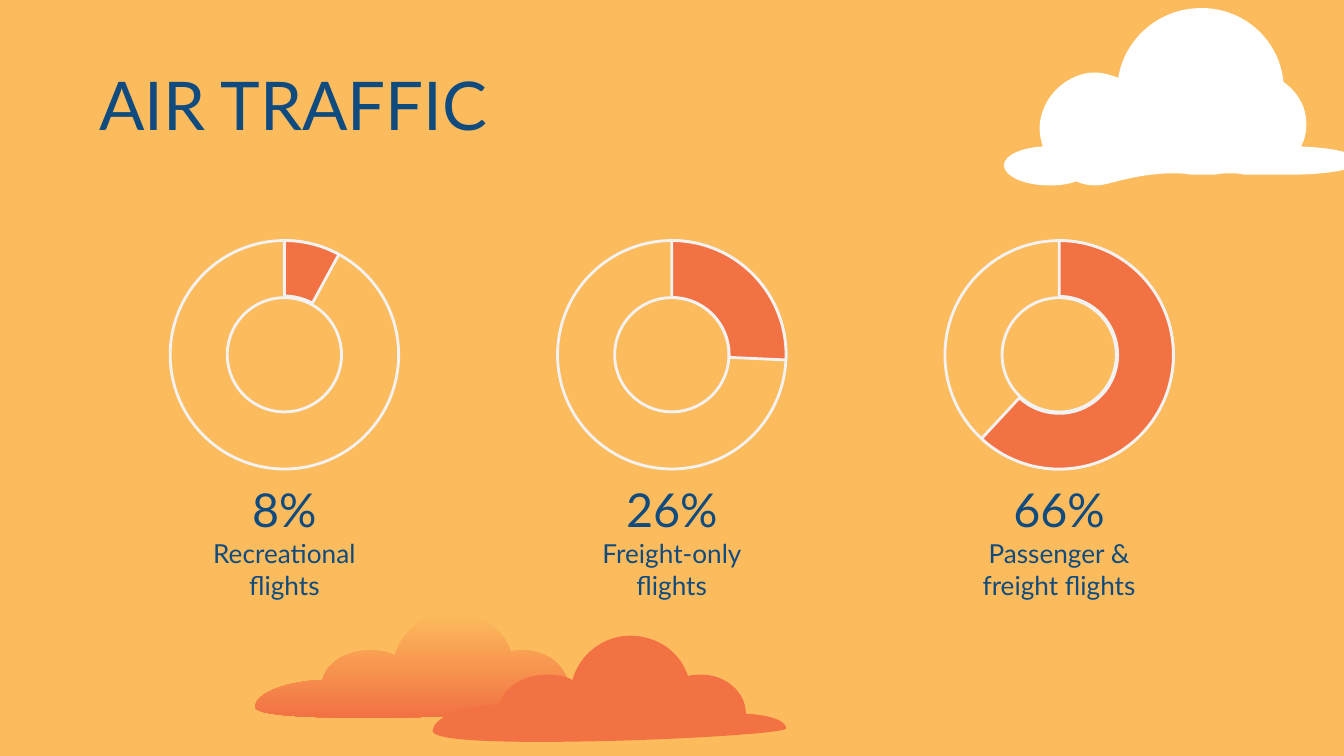
"""Build the air traffic slide with three ring charts and clouds."""
from lxml.etree import SubElement
from pptx import Presentation
from pptx.dml.color import RGBColor
from pptx.enum.shapes import MSO_SHAPE as SHAPE
from pptx.enum.text import MSO_ANCHOR as ANCHOR, PP_ALIGN as ALIGN
from pptx.oxml.ns import qn
from pptx.util import Pt

WHITE_CLOUD = [
    (147, 0),
    (116, 0), (90, 22), (85, 52), (80, 50), (74, 48), (68, 48),
    (67, 48), (66, 48), (65, 48), (46, 50), (30, 65), (27, 84),
    (26, 91), (27, 97), (29, 103), (12, 104), (0, 110), (0, 117),
    (0, 125), (15, 132), (34, 132), (42, 132), (48, 131), (54, 129),
    (58, 131), (63, 132), (68, 132), (72, 132), (76, 131), (80, 130),
    (95, 126), (110, 123), (125, 123), (130, 123), (135, 123), (139, 124),
    (142, 124), (144, 124), (147, 124), (150, 124), (154, 124), (157, 124),
    (161, 123), (165, 123), (169, 123), (172, 123), (175, 123), (179, 124),
    (181, 124), (184, 124), (187, 124), (189, 124), (192, 124), (194, 124),
    (200, 124), (206, 124), (212, 124), (241, 124), (264, 120), (264, 114),
    (264, 108), (245, 104), (221, 103), (224, 98), (225, 92), (225, 86),
    (225, 73), (218, 62), (208, 55), (205, 24), (179, 0), (147, 0),
]
LOW_CLOUD = [
    (147, 0),
    (127, 0), (109, 14), (104, 33), (99, 30), (92, 29), (85, 29),
    (68, 29), (53, 38), (50, 51), (22, 52), (0, 61), (0, 71),
    (0, 77), (35, 79), (80, 79), (158, 79), (263, 73), (263, 69),
    (263, 63), (250, 59), (233, 58), (233, 42), (218, 29), (200, 29),
    (196, 29), (193, 29), (190, 30), (184, 12), (167, 0), (147, 0),
]
FLIGHTS = [
    ("8%", "Recreational flights", 0, 28.5, 0.243),
    ("26%", "Freight-only flights", 90, 92.6, 0.249),
    ("66%", "Passenger & freight flights", 180, 222.8, 0.244),
]


def rgb(value):
    return RGBColor.from_string(value)


class Deck:
    sky, coral, navy, ring_line = "FCBC5D", "F27243", "0F4B7E", "F2F2F2"
    font = "Lato"

    def __init__(self, prs):
        self.slide = prs.slides.add_slide(prs.slide_layouts[6])
        fill = self.slide.background.fill
        fill.solid()
        fill.fore_color.rgb = rgb(self.sky)

    def cloud(self, points, x, y, *colors):
        builder = self.slide.shapes.build_freeform(*points[0], scale=Pt(0.72))
        builder.add_line_segments(points[3::3], close=True)
        sp = builder.convert_to_shape(Pt(x), Pt(y))
        self.round_outline(sp, points)
        sp.shadow.inherit = False
        sp.line.fill.background()
        if len(colors) == 1:
            sp.fill.solid()
            sp.fill.fore_color.rgb = rgb(colors[0])
        else:
            sp.fill.gradient()
            sp.fill.gradient_angle = 270
            for stop, color in zip(sp.fill.gradient_stops, colors):
                stop.color.rgb = rgb(color)

    def round_outline(self, sp, points):
        outline = next(sp.element.iter(qn("a:path")))
        for line in outline.findall(qn("a:lnTo")):
            outline.remove(line)
        close = outline.find(qn("a:close"))
        for i in range(1, len(points), 3):
            curve = SubElement(outline, qn("a:cubicBezTo"))
            for x, y in points[i:i + 3]:
                SubElement(curve, qn("a:pt"), x=str(x), y=str(y))
        outline.append(close)

    def text(self, text, x, y, w, h, size, align=ALIGN.CENTER, anchor=ANCHOR.MIDDLE):
        tf = self.slide.shapes.add_textbox(Pt(x), Pt(y), Pt(w), Pt(h)).text_frame
        tf.word_wrap = True
        tf.vertical_anchor = anchor
        tf.margin_left = tf.margin_right = tf.margin_top = tf.margin_bottom = Pt(7.2)
        p = tf.paragraphs[0]
        p.alignment = align
        r = p.add_run()
        r.text = text
        r.font.name = self.font
        r.font.size = Pt(size)
        r.font.color.rgb = rgb(self.navy)

    def ring_part(self, kind, x, y, size, rotation, color, adjustments):
        sp = self.slide.shapes.add_shape(kind, Pt(x), Pt(y), Pt(size), Pt(size))
        sp.shadow.inherit = False
        sp.rotation = rotation
        sp.fill.solid()
        sp.fill.fore_color.rgb = rgb(color)
        sp.line.color.rgb = rgb(self.ring_line)
        sp.line.width = Pt(1.5)
        for i, value in enumerate(adjustments):
            sp.adjustments[i] = value

    def ring(self, x, y, size, rotation, sweep, thickness):
        start = 270 - rotation
        angles = [angle * 0.6 for angle in (start, start + sweep)]
        self.ring_part(SHAPE.DONUT, x, y, size, rotation, self.sky, [0.25])
        self.ring_part(SHAPE.BLOCK_ARC, x, y, size, rotation, self.coral,
                       [*angles, thickness])


def main():
    prs = Presentation()
    prs.slide_width, prs.slide_height = Pt(720), Pt(405)
    deck = Deck(prs)
    deck.cloud(WHITE_CLOUD, 537.84, 4.32, "FFFFFF")
    deck.cloud(LOW_CLOUD, 136.8, 327.6, deck.sky, deck.coral)
    deck.cloud(LOW_CLOUD, 231.84, 340.56, deck.coral)
    deck.text("AIR TRAFFIC", 46, 26.6, 607, 58.3, 36, ALIGN.LEFT)
    size, step = 122.4, 207.5
    for i, (share, label, rotation, sweep, thickness) in enumerate(FLIGHTS):
        x = 91.2 + i * step
        deck.text(label, x, 280.8, size, 56.2, 14, anchor=ANCHOR.TOP)
        deck.text(share, x, 251.6, size, 41.8, 25)
        deck.ring(x, 128.9, size, rotation, sweep, thickness)
    prs.save("out.pptx")


if __name__ == "__main__":
    main()
